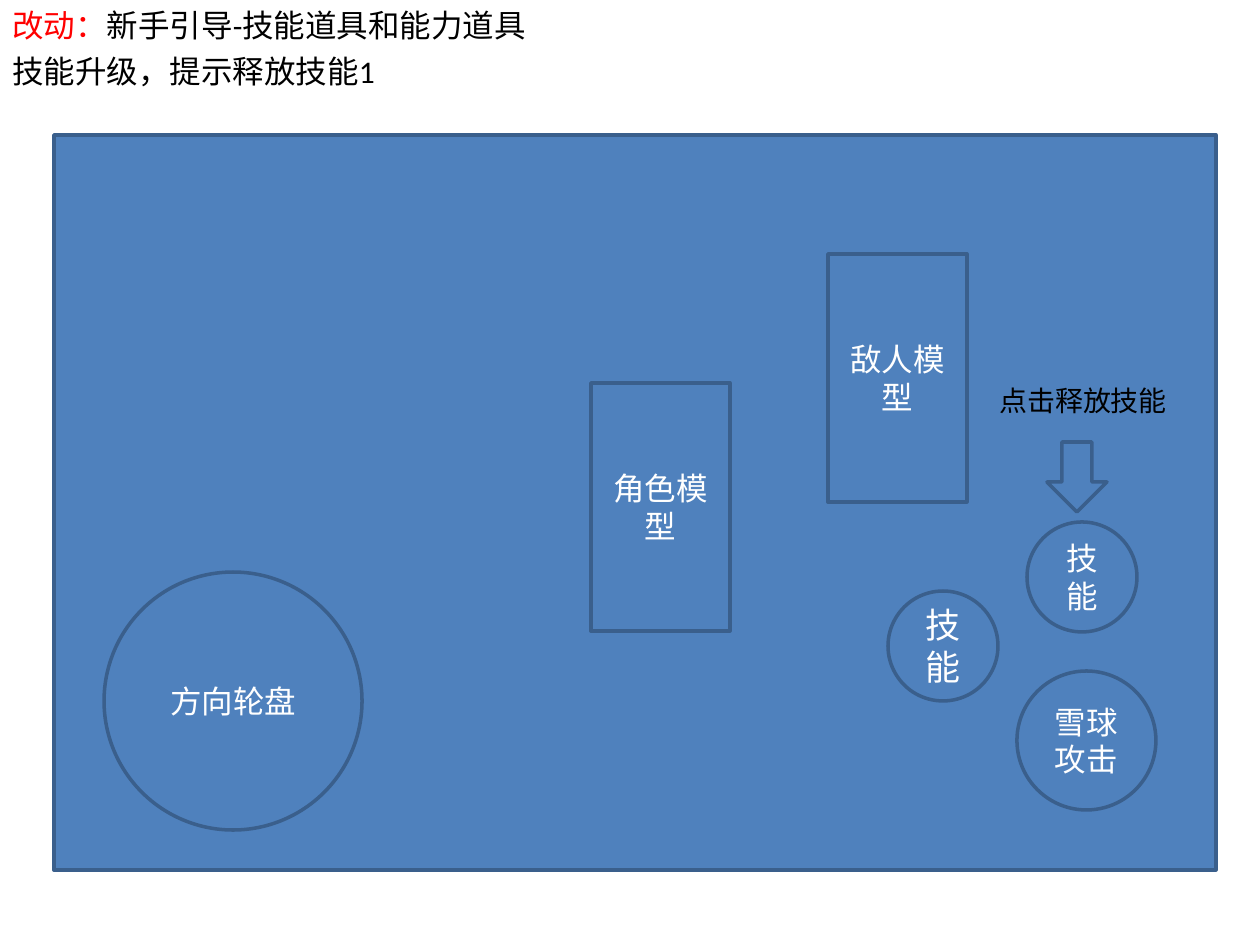
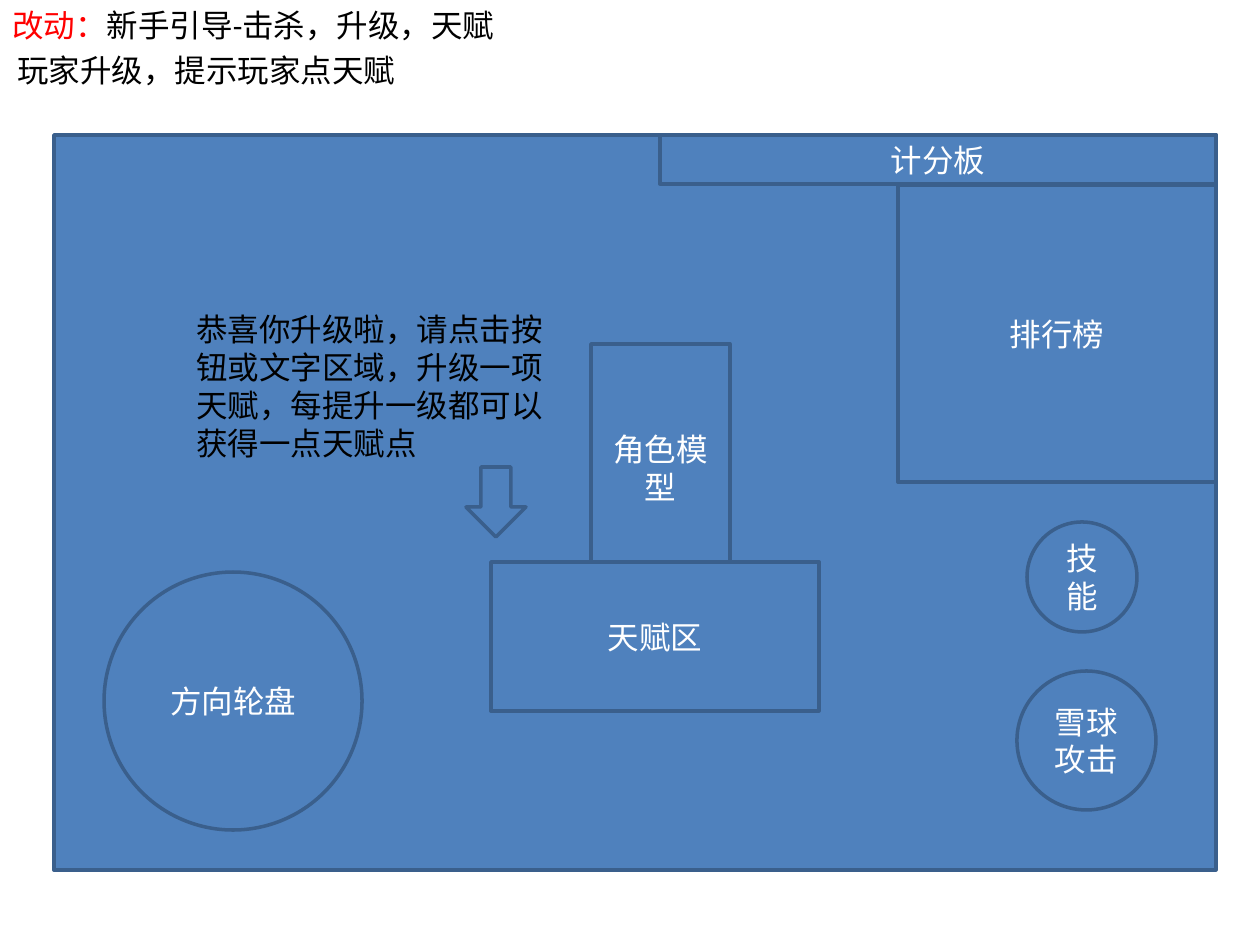
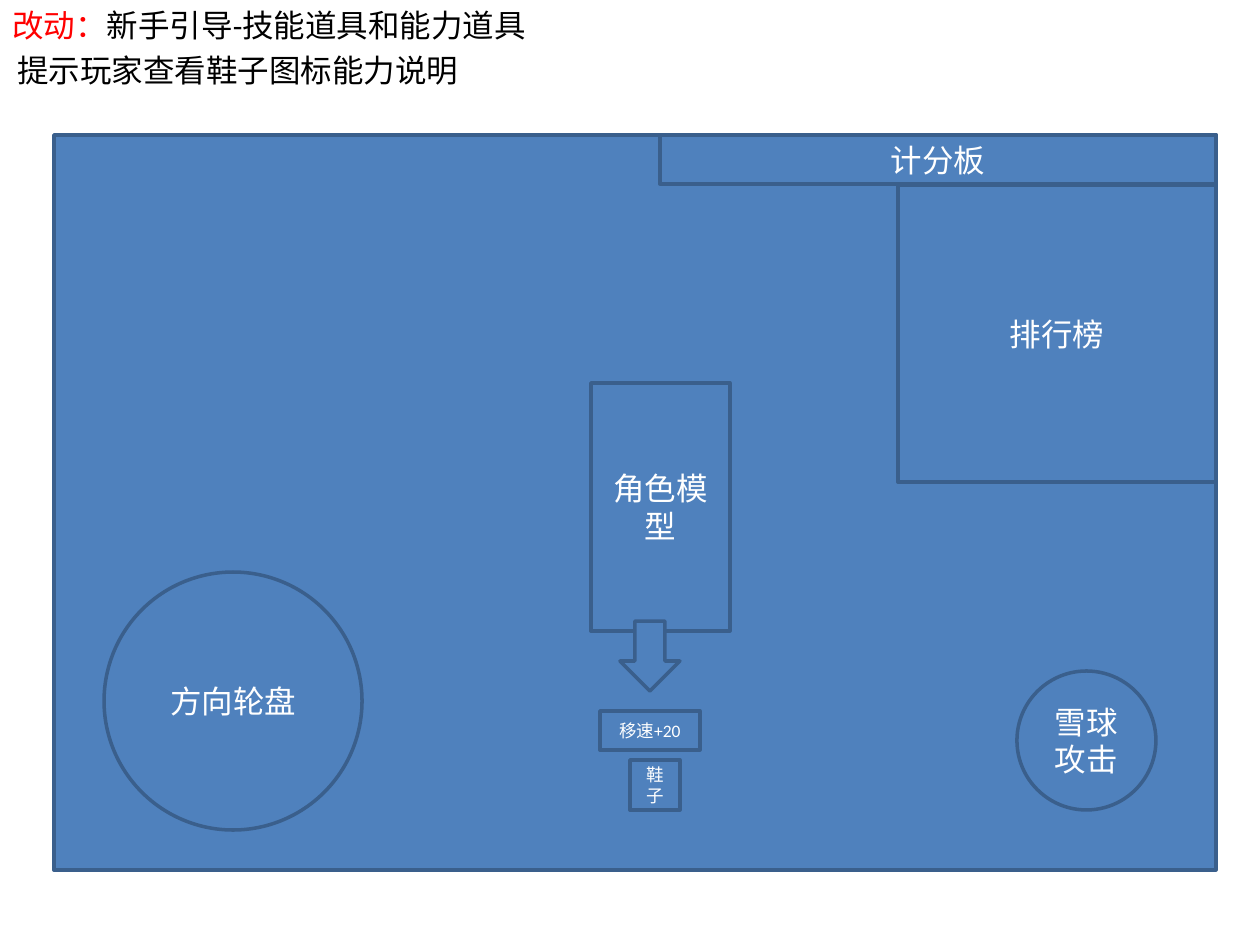
from pptx import Presentation
from pptx.dml.color import RGBColor
from pptx.enum.shapes import MSO_SHAPE as SHAPE
from pptx.enum.text import MSO_ANCHOR as ANCHOR, MSO_AUTO_SIZE as AUTO_SIZE, PP_ALIGN as ALIGN
from pptx.util import Emu, Pt

PX_PER_INCH = 126
FONT = "Calibri"
FILL, LINE = "4F81BD", "3A5F8C"
WHITE, BLACK, RED = "FFFFFF", "000000", "FF0000"


def px(n):
    return Emu(round(n * 914400 / PX_PER_INCH))


def rgb(value):
    return RGBColor.from_string(value)


class Wireframe:
    """Holds the style and the slide being drawn."""

    def __init__(self):
        self.prs = Presentation()
        self.prs.slide_width, self.prs.slide_height = px(1260), px(945)
        self.s = None

    def format_run(self, r, size, color):
        r.font.name = FONT
        r.font.size = Pt(size)
        r.font.color.rgb = rgb(color)

    # Basic elements
    def shape(self, kind, x, y, w, h, text="", size=18):
        sp = self.s.shapes.add_shape(kind, px(x), px(y), px(w), px(h))
        sp.shadow.inherit = False
        sp.fill.solid()
        sp.fill.fore_color.rgb = rgb(FILL)
        sp.line.color.rgb = rgb(LINE)
        sp.line.width = Pt(2)
        if text:
            tf = sp.text_frame
            tf.text = text
            tf.word_wrap = True
            tf.vertical_anchor = ANCHOR.MIDDLE
            p = tf.paragraphs[0]
            p.alignment = ALIGN.CENTER
            self.format_run(p.runs[0], size, WHITE)

    def box(self, x, y, w, h, text="", size=18):
        self.shape(SHAPE.RECTANGLE, x, y, w, h, text, size)

    def circle(self, x, y, d, text, size=18):
        self.shape(SHAPE.FLOWCHART_CONNECTOR, x, y, d, d, text, size)

    def arrow(self, x, y):
        self.shape(SHAPE.DOWN_ARROW, x, y, 60, 70)

    def text(self, x, y, w, h, *parts, size=18):
        tf = self.s.shapes.add_textbox(px(x), px(y), px(w), px(h)).text_frame
        tf.word_wrap = True
        tf.auto_size = AUTO_SIZE.SHAPE_TO_FIT_TEXT
        for text, color in parts:
            r = tf.paragraphs[0].add_run()
            r.text = text
            self.format_run(r, size, color)

    # Game screen parts
    def screen(self, title):
        self.s = self.prs.slides.add_slide(self.prs.slide_layouts[6])
        self.text(0, 0, 655, 50, ("改动：", RED), (title, BLACK))
        self.box(54, 135, 1162, 735)
        self.circle(104, 572, 258, "方向轮盘")
        self.circle(1017, 671, 139, "雪球攻击")

    def model(self, x, y, text="角色模型"):
        self.box(x, y, 139, 248, text)

    def skill(self, x, y, size=18):
        self.circle(x, y, 110, "技能", size)

    def scores(self):
        self.box(660, 135, 556, 49, "计分板")
        self.box(898, 185, 318, 297, "排行榜")


def main():
    w = Wireframe()

    # Slide 1: releasing a skill
    w.screen("新手引导-技能道具和能力道具")
    w.text(0, 46, 1260, 50, ("技能升级，提示释放技能1", BLACK))
    w.model(591, 383)
    w.model(828, 254, "敌人模型")
    w.skill(1027, 522)
    w.skill(888, 591, size=20)
    w.arrow(1047, 442)
    w.text(987, 377, 238, 46, ("点击释放技能", BLACK), size=16)

    # Slide 2: choosing a talent
    w.screen("新手引导-击杀，升级，天赋")
    w.text(5, 45, 1255, 50, ("玩家升级，提示玩家点天赋", BLACK))
    w.skill(1027, 522)
    w.model(591, 344)
    w.box(491, 562, 328, 149, "天赋区")
    w.arrow(466, 467)
    w.text(184, 304, 397, 165,
           ("恭喜你升级啦，请点击按钮或文字区域，升级一项天赋，每提升一级都可以获得一点天赋点", BLACK))
    w.scores()

    # Slide 3: reading an item's ability
    w.screen("新手引导-技能道具和能力道具")
    w.text(5, 45, 576, 50, ("提示玩家查看鞋子图标能力说明", BLACK))
    w.model(591, 383)
    w.box(630, 760, 50, 50, "鞋子", size=10)
    w.arrow(620, 621)
    w.scores()
    w.box(600, 711, 100, 39, "移速+20", size=10)

    w.prs.save("out.pptx")


if __name__ == "__main__":
    main()
